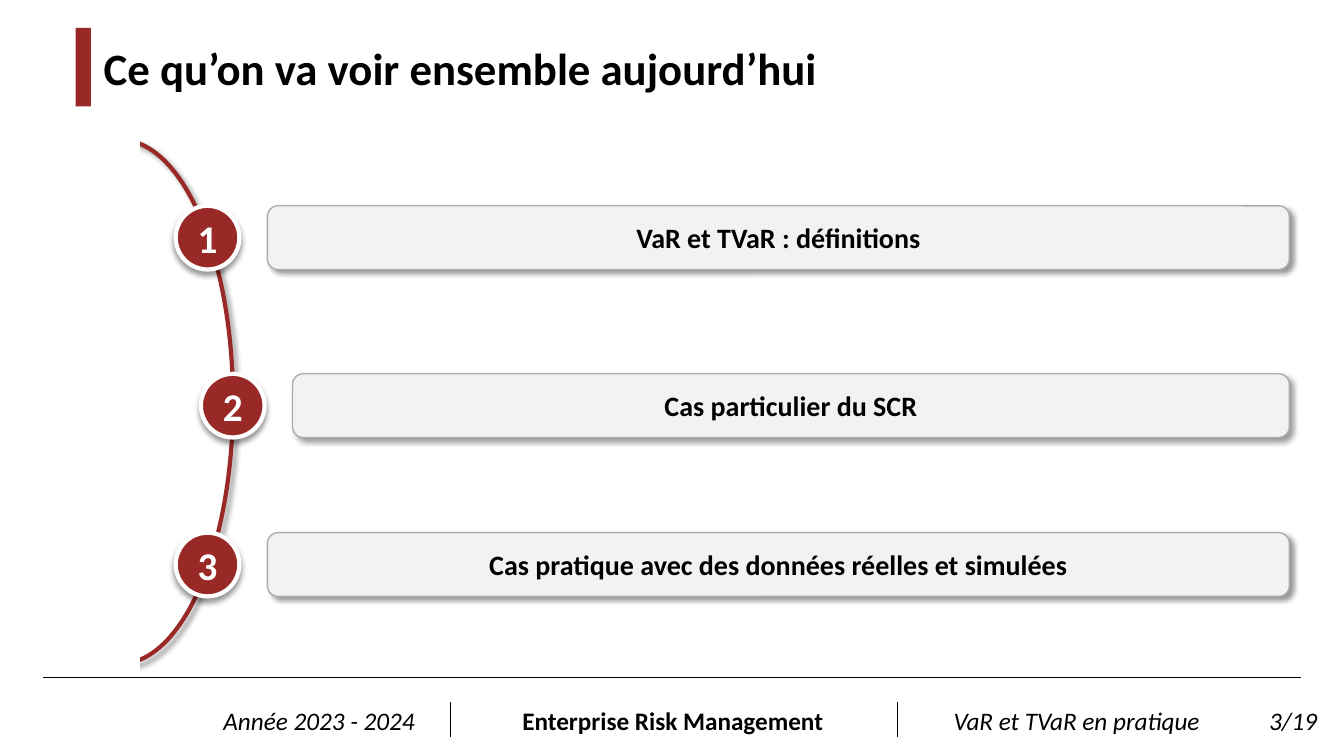
import pptx
import pptx.dml.color
import pptx.enum.shapes
import pptx.enum.text
import pptx.oxml
import pptx.oxml.ns
import pptx.util

Pt = pptx.util.Pt
SHAPE = pptx.enum.shapes.MSO_SHAPE
ANCHOR = pptx.enum.text.MSO_ANCHOR
ALIGN = pptx.enum.text.PP_ALIGN

RED, WHITE, BLACK = "982926", "FFFFFF", "000000"
BAR_FILL, BAR_LINE = "F2F2F2", "ACACAC"
TITLE = {"size": Pt(32), "bold": True}
BAR = {"size": Pt(20), "bold": True}
NUMBER = {"size": Pt(28), "bold": True}
FOOT = {"size": Pt(18), "italic": True}
FOOT_BOLD = {"size": Pt(18), "bold": True}


def rgb(color):
    """Turn a hex string into a colour."""
    return pptx.dml.color.RGBColor.from_string(color)


def add_effects(sp, angle=None):
    """Give a shape a soft shadow at an angle in degrees, or no effect."""
    ns = pptx.oxml.ns.nsdecls("a")
    shadow = "" if angle is None else (
        f'<a:outerShdw blurRad="{Pt(4)}" dist="{Pt(3)}" dir="{angle * 60000}" '
        f'algn="tl" rotWithShape="0"><a:srgbClr val="{BLACK}">'
        '<a:alpha val="40000"/></a:srgbClr></a:outerShdw>')
    sp._element.spPr.append(
        pptx.oxml.parse_xml(f"<a:effectLst {ns}>{shadow}</a:effectLst>"))


def write(sp, text, formats, color=BLACK):
    """Write one formatted run in a shape and return its paragraph."""
    p = sp.text_frame.paragraphs[0]
    r = p.add_run()
    r.text = text
    for name, value in {"name": "Calibri", **formats}.items():
        setattr(r.font, name, value)
    r.font.color.rgb = rgb(color)
    return p


def add_shape(s, kind, x, y, w, h, fill=None, line=None, width=1, angle=None):
    """Add a preset shape with its fill, outline and shadow."""
    sp = s.shapes.add_shape(kind, Pt(x), Pt(y), Pt(w), Pt(h))
    if fill:
        sp.fill.solid()
        sp.fill.fore_color.rgb = rgb(fill)
    else:
        sp.fill.background()
    if line:
        sp.line.color.rgb = rgb(line)
        sp.line.width = Pt(width)
    else:
        sp.line.fill.background()
    add_effects(sp, angle)
    return sp


def add_label(sp, text, formats, color=BLACK):
    """Centre a text in a shape."""
    sp.text_frame.vertical_anchor = ANCHOR.MIDDLE
    write(sp, text, formats, color).alignment = ALIGN.CENTER


def add_rule(s, x1, y1, x2, y2):
    """Draw a thin black line."""
    c = s.shapes.add_connector(pptx.enum.shapes.MSO_CONNECTOR.STRAIGHT,
                               Pt(x1), Pt(y1), Pt(x2), Pt(y2))
    c.line.color.rgb = rgb(BLACK)
    c.line.width = Pt(0.5)
    add_effects(c)


def add_text(s, x, y, w, h, text, formats, wrap=False):
    """Add a text box and return its paragraph."""
    sp = s.shapes.add_textbox(Pt(x), Pt(y), Pt(w), Pt(h))
    sp.text_frame.word_wrap = wrap
    return write(sp, text, formats)


def add_title(s, x, y, w, h, text):
    """Place the red marker and the title beside it."""
    add_shape(s, SHAPE.RECTANGLE, x, y, 11, h, fill=RED)
    p = add_text(s, x + 13, y + 9.5, w - 13, 37.5, text, TITLE, wrap=True)
    p.line_spacing = 0.9


def add_agenda(s, x, y, w, h, items):
    """Place the arc with its numbered discs and bars."""
    add_shape(s, SHAPE.OVAL, x + 4.5, y + 9, 160.5, h - 17,
              line=RED, width=3, angle=45)
    add_shape(s, SHAPE.RECTANGLE, x, y, 98.5, h, fill=WHITE)
    size, gap = 45.5, 20
    for number, (text, dx, dy) in enumerate(items, 1):
        disc = add_shape(s, SHAPE.OVAL, x + dx, y + dy, size, size,
                         fill=RED, line=WHITE, width=3, angle=90)
        add_label(disc, str(number), NUMBER, WHITE)
        left = dx + size + gap
        bar = add_shape(s, SHAPE.ROUNDED_RECTANGLE, x + left, y + dy,
                        w - left, size, fill=BAR_FILL, line=BAR_LINE, angle=45)
        add_label(bar, text, BAR)


def add_footer(s, x, y, w, texts, dividers):
    """Place the footer rule, its dividers and its texts."""
    add_rule(s, x, y, x + w, y)
    for dx in dividers:
        add_rule(s, x + dx, y + 17.5, x + dx, y + 42.5)
    for text, dx, width, formats in texts:
        add_text(s, x + dx, y + 16, width, 29, text, formats)


def main():
    """Build and save the slide."""
    prs = pptx.Presentation()
    prs.slide_width, prs.slide_height = Pt(960), Pt(540)
    s = prs.slides.add_slide(prs.slide_layouts[6])
    add_footer(s, 31, 484, 898, [
        ("Année 2023 - 2024", 121.5, 154, FOOT),
        ("Enterprise Risk Management", 335, 231, FOOT_BOLD),
        ("VaR et TVaR en pratique", 643, 192, FOOT),
        ("3/19", 868.5, 49, FOOT),
    ], [291, 610])
    add_title(s, 54, 20, 841, 56, "Ce qu’on va voir ensemble aujourd’hui")
    add_agenda(s, 1.5, 91, 919.5, 391, [
        ("VaR et TVaR : définitions", 124, 56),
        ("Cas particulier du SCR", 142, 176),
        ("Cas pratique avec des données réelles et simulées", 124, 289.5),
    ])
    prs.save("out.pptx")


if __name__ == "__main__":
    main()
